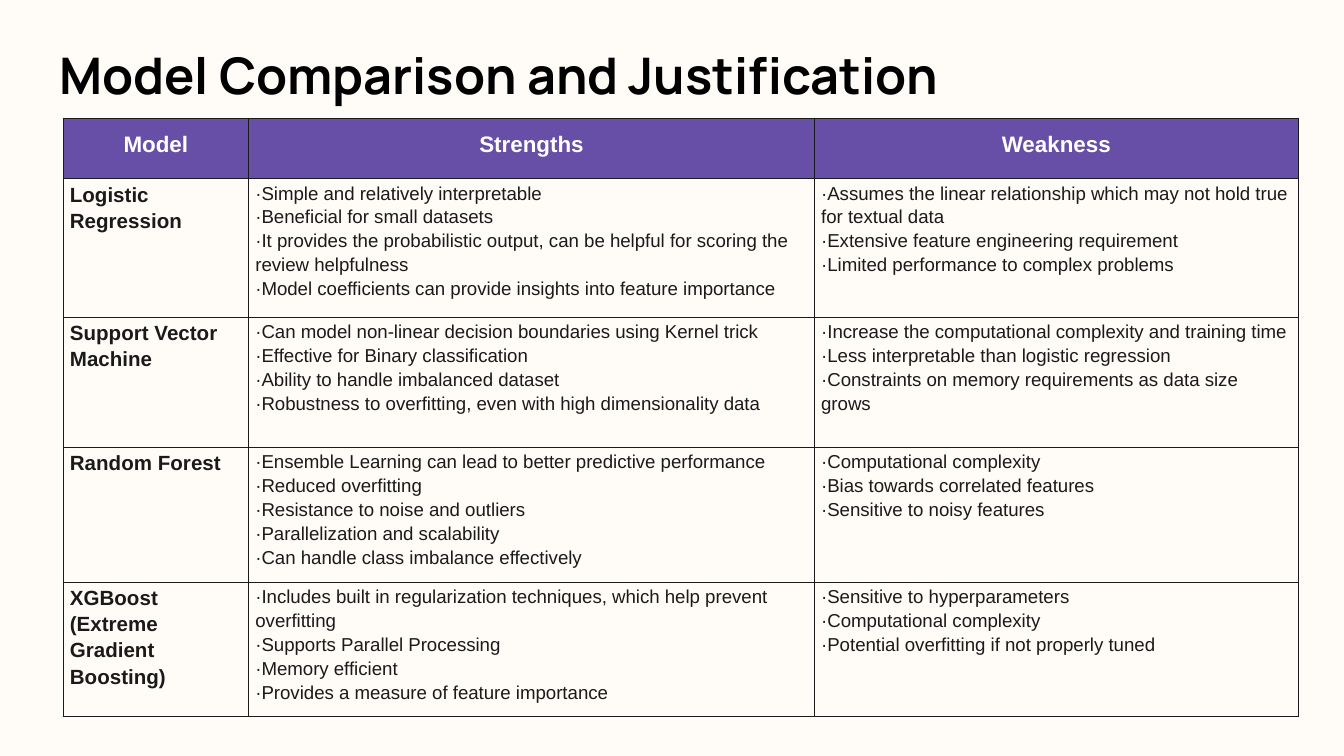
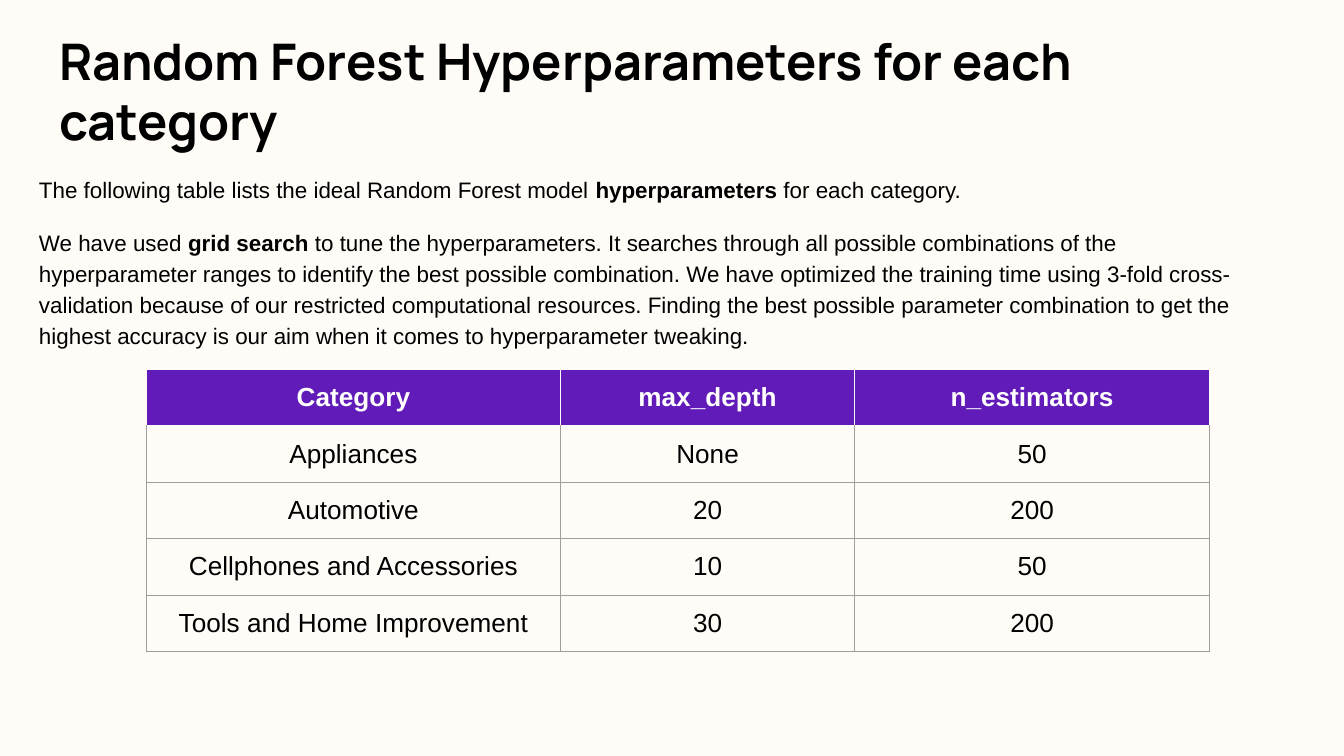
from lxml import etree
from pptx import Presentation
from pptx import util as u
from pptx.dml.color import RGBColor
from pptx.enum import text
from pptx.oxml import ns

PX = 9144  # 100 px to the inch

CREAM = RGBColor(0xFF, 0xFB, 0xF7)
BLACK = RGBColor(0x00, 0x00, 0x00)
WHITE = RGBColor(0xFF, 0xFF, 0xFF)
INK = RGBColor(0x1A, 0x1A, 0x1A)
GREY = RGBColor(0x9E, 0x9E, 0x9E)
PURPLE = RGBColor(0x67, 0x4E, 0xA7)
VIOLET = RGBColor(0x61, 0x1B, 0xB8)

LEFT, CENTER = text.PP_ALIGN.LEFT, text.PP_ALIGN.CENTER
TITLE_ONLY, TITLE_AND_BODY = 5, 1


def px(n):
    return u.Emu(n * PX)


class Deck:
    head_font, body_font = "Manrope", "Arial"

    def __init__(self):
        self.prs = Presentation()
        self.prs.slide_width = px(1000)
        self.prs.slide_height = u.Emu(px(1000) * 9 // 16)
        fill = self.prs.slide_master.background.fill
        fill.solid()
        fill.fore_color.rgb = CREAM

    def slide(self, layout):
        self.s = self.prs.slides.add_slide(self.prs.slide_layouts[layout])

    def paragraph(self, p, runs, size, color, bold=False, font=None,
                  align=LEFT, spacing=1.0, before=0):
        """Fill p with runs; every second run is emphasised."""
        p.alignment, p.line_spacing = align, spacing
        p.space_before = u.Pt(before)
        for i, words in enumerate(runs):
            r = p.add_run()
            r.text = words
            r.font.name = font or self.body_font
            r.font.size = u.Pt(size)
            r.font.bold = bold or i % 2 == 1
            r.font.color.rgb = color

    def frame(self, sp, box):
        """Place a placeholder and give its text the shared margins."""
        sp.left, sp.top, sp.width, sp.height = map(px, box)
        tf = sp.text_frame
        tf.word_wrap = True
        tf.auto_size = text.MSO_AUTO_SIZE.NONE
        tf.vertical_anchor = text.MSO_ANCHOR.TOP
        tf.margin_left = tf.margin_right = px(10)
        tf.margin_top = tf.margin_bottom = px(10)
        return tf

    def title(self, words, top, height):
        tf = self.frame(self.s.shapes.title, (34, top, 932, height))
        self.paragraph(tf.paragraphs[0], [words], 27, BLACK, True, self.head_font)

    def body(self, paragraphs, box):
        tf = self.frame(self.s.placeholders[1], box)
        for i, runs in enumerate(paragraphs):
            p = tf.add_paragraph() if i else tf.paragraphs[0]
            pPr = p._p.get_or_add_pPr()
            pPr.set("marL", "0")
            pPr.set("indent", "0")
            etree.SubElement(pPr, ns.qn("a:buNone"))
            self.paragraph(p, runs, 12, BLACK, spacing=1.15,
                           before=12 if i else 0)

    def table(self, left, top, widths, heights):
        gf = self.s.shapes.add_table(len(heights), len(widths), px(left), px(top),
                                     px(sum(widths)), px(sum(heights)))
        tbl = gf.table
        tbl.first_row = tbl.horz_banding = False
        for col, w in zip(tbl.columns, widths):
            col.width = px(w)
        for row, h in zip(tbl.rows, heights):
            row.height = px(h)
        return tbl

    def cell(self, cell, lines, margins, line, top_line=None, fill=None, **style):
        cell.margin_left = cell.margin_right = px(margins[0])
        cell.margin_top, cell.margin_bottom = px(margins[1]), px(margins[2])
        # Borders come before the fill in the cell properties
        tcPr = cell._tc.get_or_add_tcPr()
        for side in "LRTB":
            ln = etree.SubElement(tcPr, ns.qn("a:ln" + side), w=str(u.Pt(0.75)))
            solid = etree.SubElement(ln, ns.qn("a:solidFill"))
            color = top_line if side == "T" and top_line else line
            etree.SubElement(solid, ns.qn("a:srgbClr"), val=str(color))
        if fill:
            cell.fill.solid()
            cell.fill.fore_color.rgb = fill
        else:
            cell.fill.background()
        tf = cell.text_frame
        for i, words in enumerate(lines):
            p = tf.add_paragraph() if i else tf.paragraphs[0]
            self.paragraph(p, [words], **style)


MODELS = [
    ("Logistic Regression",
     ["Simple and relatively interpretable",
      "Beneficial for small datasets",
      "It provides the probabilistic output, can be helpful for scoring the review helpfulness",
      "Model coefficients can provide insights into feature importance"],
     ["Assumes the linear relationship which may not hold true for textual data",
      "Extensive feature engineering requirement",
      "Limited performance to complex problems"]),
    ("Support Vector Machine",
     ["Can model non-linear decision boundaries using Kernel trick",
      "Effective for Binary classification",
      "Ability to handle imbalanced dataset",
      "Robustness to overfitting, even with high dimensionality data"],
     ["Increase the computational complexity and training time",
      "Less interpretable than logistic regression",
      "Constraints on memory requirements as data size grows"]),
    ("Random Forest",
     ["Ensemble Learning can lead to better predictive performance",
      "Reduced overfitting",
      "Resistance to noise and outliers",
      "Parallelization and scalability",
      "Can handle class imbalance effectively"],
     ["Computational complexity",
      "Bias towards correlated features",
      "Sensitive to noisy features"]),
    ("XGBoost (Extreme Gradient Boosting)",
     ["Includes built in regularization techniques, which help prevent overfitting",
      "Supports Parallel Processing",
      "Memory efficient",
      "Provides a measure of feature importance"],
     ["Sensitive to hyperparameters",
      "Computational complexity",
      "Potential overfitting if not properly tuned"]),
]

INTRO = [
    ["The following table lists the ideal Random Forest model ",
     "hyperparameters", " for each category."],
    ["We have used ", "grid search",
     " to tune the hyperparameters. It searches through all possible combinations "
     "of the hyperparameter ranges to identify the best possible combination. "
     "We have optimized the training time using 3-fold cross-validation because of "
     "our restricted computational resources. Finding the best possible parameter "
     "combination to get the highest accuracy is our aim when it comes to "
     "hyperparameter tweaking."],
]

SETTINGS = [
    ("Category", "max_depth", "n_estimators"),
    ("Appliances", "None", "50"),
    ("Automotive", "20", "200"),
    ("Cellphones and Accessories", "10", "50"),
    ("Tools and Home Improvement", "30", "200"),
]


def comparison_slide(deck):
    deck.slide(TITLE_ONLY)
    deck.title("Model Comparison and Justification", 23, 68)
    tbl = deck.table(47, 88, [138, 421, 360], [45, 103, 97, 98, 98])
    margins = (5, 1, 10)
    # Header row
    for c, head in enumerate(["Model", "Strengths", "Weakness"]):
        deck.cell(tbl.cell(0, c), [head], margins, INK, fill=PURPLE, size=12,
                  color=WHITE, bold=True, align=CENTER, spacing=1.5)
    # One row per model
    for r, (model, *points) in enumerate(MODELS, 1):
        deck.cell(tbl.cell(r, 0), [model], margins, INK, size=11, color=INK,
                  bold=True, spacing=1.15)
        for c, items in enumerate(points, 1):
            deck.cell(tbl.cell(r, c), ["·" + item for item in items], margins, INK,
                      size=10, color=INK, spacing=1.15)


def hyperparameter_slide(deck):
    deck.slide(TITLE_AND_BODY)
    deck.title("Random Forest Hyperparameters for each category", 12, 101)
    deck.body(INTRO, (19, 118, 932, 415))
    tbl = deck.table(109, 275, [308, 219, 264], [42] * len(SETTINGS))
    for r, row in enumerate(SETTINGS):
        head = r == 0
        for c, value in enumerate(row):
            deck.cell(tbl.cell(r, c), [value], (10, 10, 10),
                      CREAM if head else GREY,
                      top_line=CREAM if r == 1 else None,
                      fill=VIOLET if head else None, size=14,
                      color=WHITE if head else BLACK, bold=head, align=CENTER)


def main():
    deck = Deck()
    comparison_slide(deck)
    hyperparameter_slide(deck)
    deck.prs.save("out.pptx")


if __name__ == "__main__":
    main()
